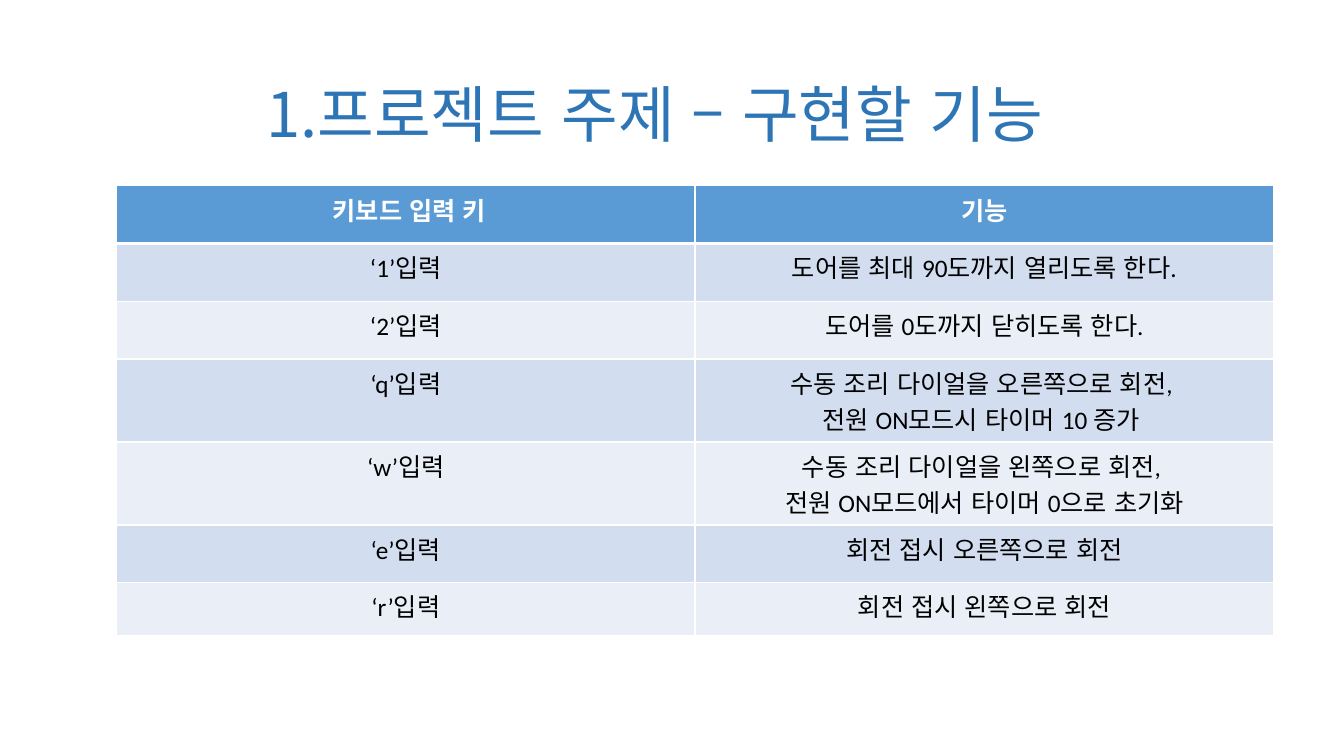
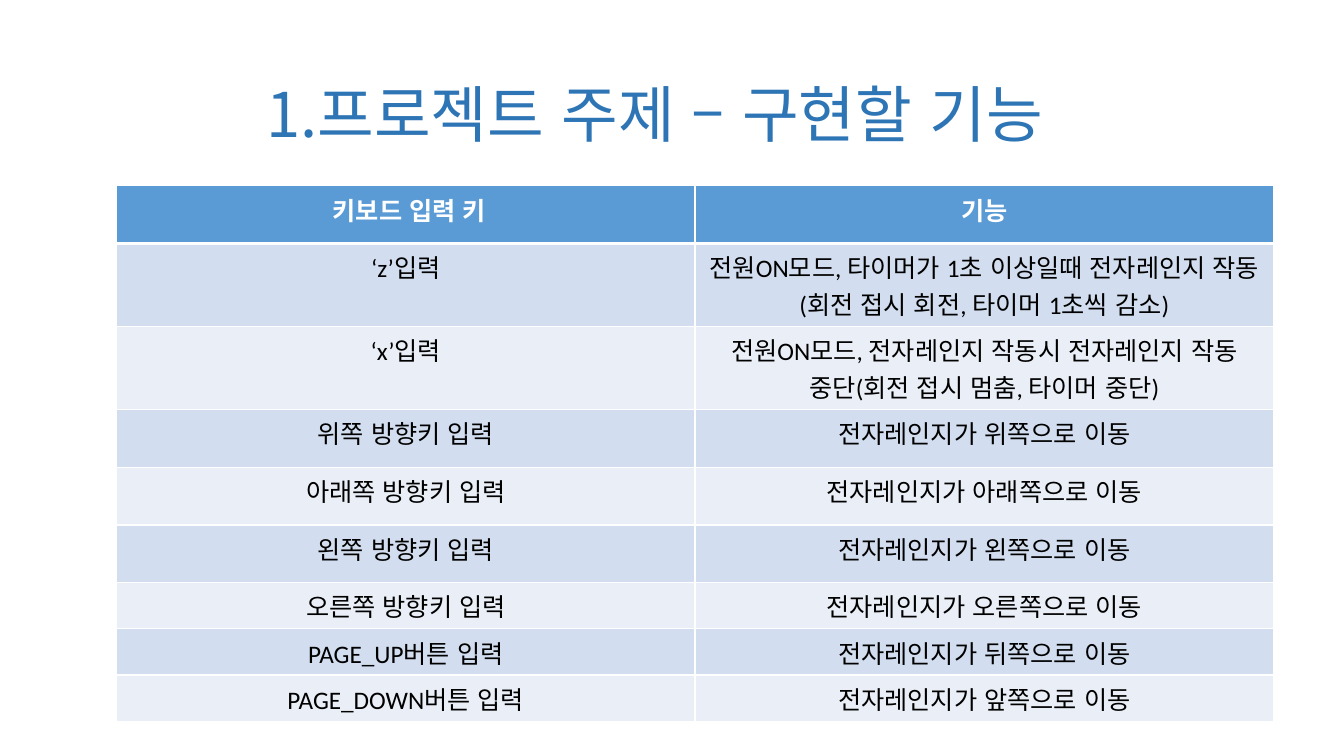
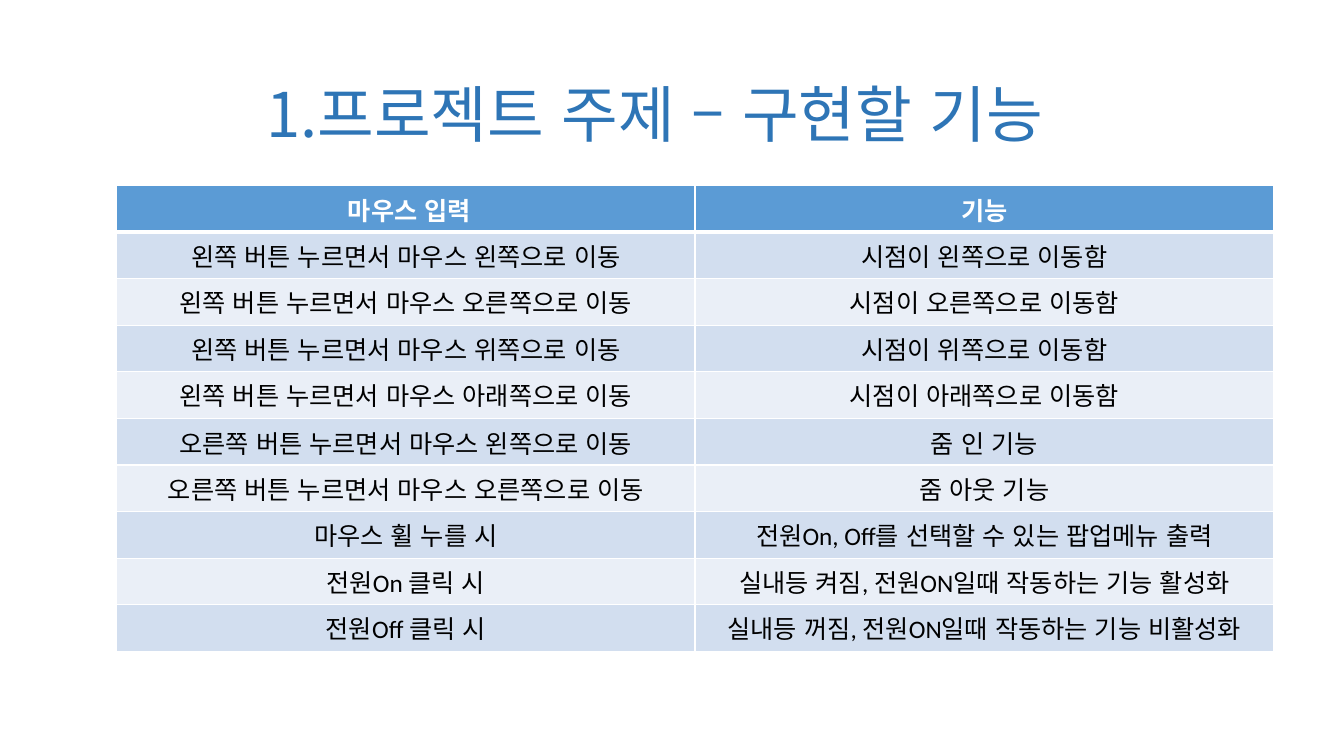
from lxml.etree import SubElement
from pptx import Presentation
from pptx.dml.color import RGBColor
from pptx.enum.lang import MSO_LANGUAGE_ID
from pptx.enum.text import MSO_ANCHOR, PP_ALIGN
from pptx.oxml.ns import qn
from pptx.util import Pt

PX = 9525  # EMU in one px, 96 px to the inch
COLORS = {
    "title": "2E75B6",
    "head": "5B9BD5",
    "odd": "D2DEEF",
    "even": "EAEFF7",
    "line": "FFFFFF",
    "white": "FFFFFF",
    "black": "000000",
}
HANGUL = "Noto Sans CJK KR"
LATIN = "Calibri"
TITLE = "1.프로젝트 주제 – 구현할 기능"

KEYS = [
    (" 키보드 입력 키", "기능"),
    ("‘1’입력", "도어를 최대 90도까지 열리도록 한다."),
    ("‘2’입력", "도어를 0도까지 닫히도록 한다."),
    ("‘q’입력", "수동 조리 다이얼을 오른쪽으로 회전, \n전원 ON모드시 타이머 10 증가 "),
    ("‘w’입력", "수동 조리 다이얼을 왼쪽으로 회전, \n전원 ON모드에서 타이머 0으로 초기화"),
    ("‘e’입력", "회전 접시 오른쪽으로 회전"),
    ("‘r’입력", "회전 접시 왼쪽으로 회전"),
]
MOVES = [
    (" 키보드 입력 키", "기능"),
    ("‘z’입력", "전원ON모드, 타이머가 1초 이상일때 전자레인지 작동(회전 접시 회전, 타이머 1초씩 감소)"),
    ("‘x’입력", "전원ON모드, 전자레인지 작동시 전자레인지 작동 중단(회전 접시 멈춤, 타이머 중단)"),
    ("위쪽 방향키 입력", "전자레인지가 위쪽으로 이동"),
    ("아래쪽 방향키 입력", "전자레인지가 아래쪽으로 이동"),
    ("왼쪽 방향키 입력", "전자레인지가 왼쪽으로 이동"),
    ("오른쪽 방향키 입력", "전자레인지가 오른쪽으로 이동"),
    ("PAGE_UP버튼 입력", "전자레인지가 뒤쪽으로 이동"),
    ("PAGE_DOWN버튼 입력", "전자레인지가 앞쪽으로 이동"),
]
MOUSE = [
    (" 마우스 입력", "기능"),
    ("왼쪽 버튼 누르면서 마우스 왼쪽으로 이동", "시점이 왼쪽으로 이동함"),
    ("왼쪽 버튼 누르면서 마우스 오른쪽으로 이동", "시점이 오른쪽으로 이동함"),
    ("왼쪽 버튼 누르면서 마우스 위쪽으로 이동", "시점이 위쪽으로 이동함"),
    ("왼쪽 버튼 누르면서 마우스 아래쪽으로 이동", "시점이 아래쪽으로 이동함"),
    ("오른쪽 버튼 누르면서 마우스 왼쪽으로 이동", "줌 인 기능"),
    ("오른쪽 버튼 누르면서 마우스 오른쪽으로 이동", "줌 아웃 기능"),
    ("마우스 휠 누를 시", "전원On, Off를 선택할 수 있는 팝업메뉴 출력"),
    ("전원On 클릭 시", "실내등 켜짐, 전원ON일때 작동하는 기능 활성화"),
    ("전원Off 클릭 시", "실내등 꺼짐, 전원ON일때 작동하는 기능 비활성화"),
]


def rgb(name):
    return RGBColor.from_string(COLORS[name])


def write(frame, text, size=18, font=LATIN, color="black", bold=False,
          align=PP_ALIGN.CENTER):
    """Fill a text frame, one paragraph for each line of text."""
    for i, line in enumerate(text.split("\n")):
        para = frame.add_paragraph() if i else frame.paragraphs[0]
        para.alignment = align
        run = para.add_run()
        run.text = line
        run.font.size = Pt(size)
        run.font.bold = bold
        run.font.color.rgb = rgb(color)
        run.font.name = font
        run.font.language_id = MSO_LANGUAGE_ID.KOREAN
        SubElement(run.font._element, qn("a:ea"), typeface=HANGUL)


def add_title(slide, text):
    box = slide.shapes.add_textbox(244 * PX, 38 * PX, 948 * PX, 139 * PX)
    frame = box.text_frame
    frame.word_wrap = True
    frame.vertical_anchor = MSO_ANCHOR.MIDDLE
    write(frame, text, size=44, font=HANGUL, color="title",
          align=PP_ALIGN.LEFT)


def set_edges(cell, top=1, bottom=1):
    """Draw the four cell borders, widths in points."""
    props = cell._tc.get_or_add_tcPr()
    for side, width in (("L", 1), ("R", 1), ("T", top), ("B", bottom)):
        line = SubElement(props, qn(f"a:ln{side}"), w=str(Pt(width)))
        fill = SubElement(line, qn("a:solidFill"))
        SubElement(fill, qn("a:srgbClr"), val=COLORS["line"])


def add_grid(slide, rows, heights):
    """Add a two-column table with a header and banded rows."""
    shape = slide.shapes.add_table(len(rows), 2, 111 * PX, 177 * PX,
                                   1102 * PX, sum(heights) * PX)
    table = shape.table
    table.horz_banding = False
    for r, (texts, height) in enumerate(zip(rows, heights)):
        table.rows[r].height = height * PX
        head = r == 0
        band = "head" if head else ("odd" if r % 2 else "even")
        for c, text in enumerate(texts):
            cell = table.cell(r, c)
            set_edges(cell, top=3 if r == 1 else 1, bottom=3 if head else 1)
            cell.fill.solid()
            cell.fill.fore_color.rgb = rgb(band)
            write(cell.text_frame, text, bold=head,
                  color="white" if head else "black")


def main():
    deck = Presentation()
    deck.slide_width, deck.slide_height = 1280 * PX, 720 * PX
    pages = [
        (KEYS, [55] * 3 + [79] * 2 + [55, 50]),
        (MOVES, [55] + [79] * 2 + [55] * 3 + [44] * 3),
        (MOUSE, [44, 44, 45, 44, 45] * 2),
    ]
    for rows, heights in pages:
        slide = deck.slides.add_slide(deck.slide_layouts[6])
        add_title(slide, TITLE)
        add_grid(slide, rows, heights)
    deck.save("out.pptx")


if __name__ == "__main__":
    main()
